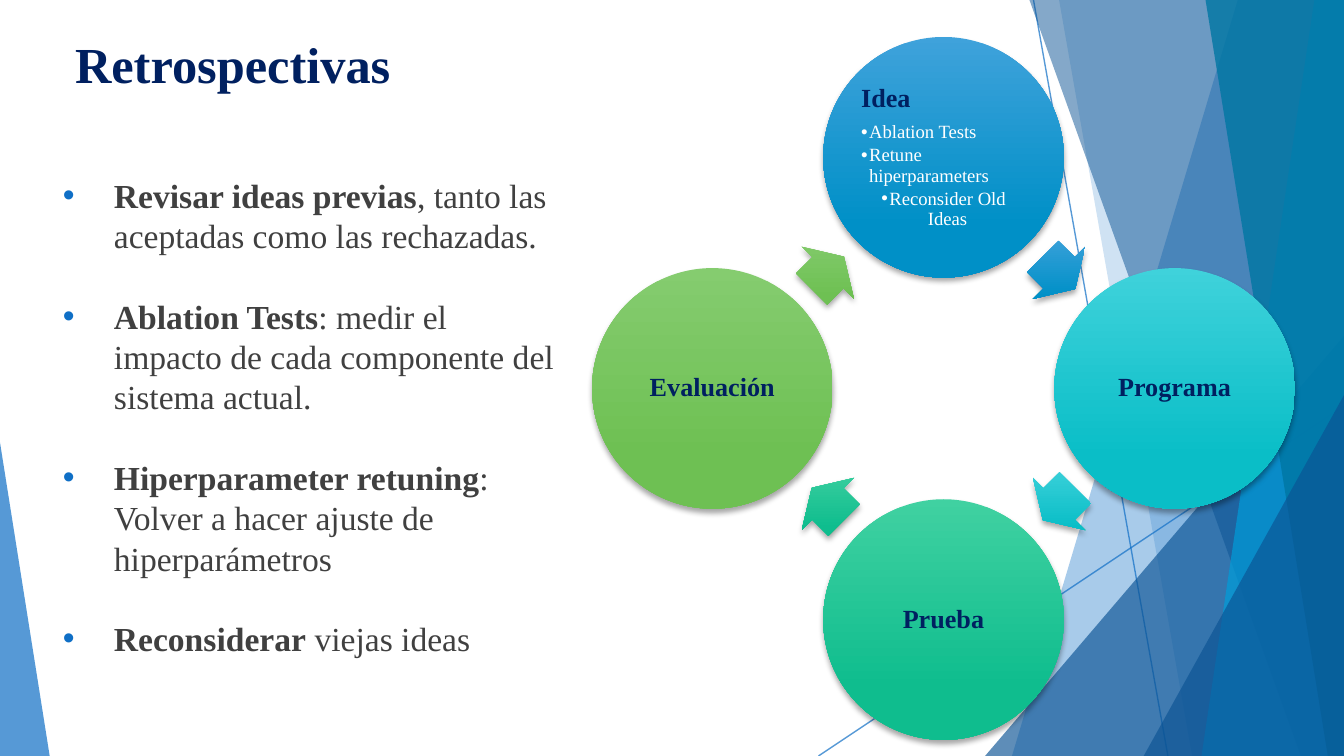
import math

from lxml import etree
from pptx import Presentation
from pptx.dml.color import RGBColor
from pptx.enum.shapes import MSO_CONNECTOR, MSO_SHAPE
from pptx.enum.text import MSO_ANCHOR, PP_ALIGN
from pptx.oxml.ns import qn
from pptx.util import Inches, Pt

LEFT, CENTER = PP_ALIGN.LEFT, PP_ALIGN.CENTER
TOP, MIDDLE, BOTTOM = MSO_ANCHOR.TOP, MSO_ANCHOR.MIDDLE, MSO_ANCHOR.BOTTOM
OVAL, ARROW, TRIANGLE = MSO_SHAPE.OVAL, MSO_SHAPE.RIGHT_ARROW, MSO_SHAPE.ISOSCELES_TRIANGLE
STRAIGHT = MSO_CONNECTOR.STRAIGHT

WIDTH = 10
HEIGHT = WIDTH * 9 / 16
FONT = "Times New Roman"
COLORS = {
    "blue": "0F6FC6", "deep": "0B5394", "sky": "009DD9", "teal": "0076A3",
    "navy": "002060", "body": "404040", "white": "FFFFFF", "black": "000000",
    "idea top": "3FA2DB", "idea": "0090C7",
    "program top": "3FD2DB", "program": "0ABEC7",
    "test top": "40D1A1", "test": "0FBD8E",
    "evaluation top": "85CC6F", "evaluation": "6EC053",
}

TITLE = "Retrospectivas"
POINTS = [
    ("Revisar ideas previas", ", tanto las aceptadas como las rechazadas."),
    ("Ablation Tests", ": medir el impacto de cada componente del sistema actual."),
    ("Hiperparameter retuning", ": Volver a hacer ajuste de hiperparámetros"),
    ("Reconsiderar", " viejas ideas"),
]
# Clockwise from the top: label, colour name, detail lines with alignment
CYCLE = [
    ("Idea", "idea", [("Ablation Tests", LEFT), ("Retune hiperparameters", LEFT),
                      ("Reconsider Old Ideas", CENTER)]),
    ("Programa", "program", []),
    ("Prueba", "test", []),
    ("Evaluación", "evaluation", []),
]
CYCLE_X, CYCLE_Y, CYCLE_RADIUS = 7.02, 2.89, 1.72
DISC = 1.79
ARROW_WIDTH, ARROW_HEIGHT = 0.34, 0.55

RAYS = [((7.69, 0), (8.69, HEIGHT)), ((WIDTH, 3.02), (6.09, HEIGHT))]
# Facets reach the right edge. Band: x at top, x at bottom. Wedge: left, top, width, apex
FACETS = [
    ("band", (9.21, 7.53), "blue", 36),
    ("band", (7.88, 8.87), "blue", 20),
    ("wedge", (7.33, 2.5, 2.67, 1), "deep", 66),
    ("band", (7.66, 9.68), "deep", 50),
    ("band", (9.78, 8.94), "sky", 70),
    ("band", (8.97, 9.88), "teal", 80),
    ("wedge", (8.51, 2.94, 1.49, 1), "deep", 66),
    ("wedge", (0, 3.29, 0.37, 0), "blue", 70),
]


def rgb(name):
    return RGBColor.from_string(COLORS[name])


def inches(*values):
    return [Inches(value) for value in values]


def set_alpha(shape, percent):
    color = next(shape.element.iter(qn("a:srgbClr")))
    etree.SubElement(color, qn("a:alpha"), val=str(percent * 1000))


def add_ray(slide, start, end):
    ray = slide.shapes.add_connector(STRAIGHT, *inches(*start, *end))
    ray.line.color.rgb = rgb("blue")
    ray.line.width = Pt(0.75)
    set_alpha(ray, 70)
    etree.SubElement(ray.element.spPr, qn("a:effectLst"))


def add_facet(slide, kind, geometry, color, alpha):
    if kind == "band":
        top_x, bottom_x = geometry
        builder = slide.shapes.build_freeform(*inches(top_x, 0))
        corners = [(WIDTH, 0), (WIDTH, HEIGHT), (bottom_x, HEIGHT)]
        builder.add_line_segments([inches(*corner) for corner in corners])
        shape = builder.convert_to_shape()
    else:
        left, top, width, apex = geometry
        shape = slide.shapes.add_shape(TRIANGLE, *inches(left, top, width, HEIGHT - top))
        shape.adjustments[0] = apex
    shape.shadow.inherit = False
    shape.fill.solid()
    shape.fill.fore_color.rgb = rgb(color)
    shape.line.fill.background()
    set_alpha(shape, alpha)


def add_glossy(slide, preset, x, y, width, height, color):
    """Add a shape centred on x, y with a vertical gradient and a soft shadow."""
    shape = slide.shapes.add_shape(
        preset, *inches(x - width / 2, y - height / 2, width, height))
    shape.line.fill.background()
    shape.fill.gradient()
    shape.fill.gradient_angle = 270
    shape.element.spPr.find(qn("a:gradFill")).set("rotWithShape", "0")
    for stop, name, position in zip(shape.fill.gradient_stops, (color + " top", color), (0, 0.78)):
        stop.color.rgb = rgb(name)
        stop.position = position
    shape.shadow.inherit = False
    effects = shape.element.spPr.find(qn("a:effectLst"))
    shadow = etree.SubElement(
        effects, qn("a:outerShdw"), blurRad=str(Pt(3)), dist=str(Pt(2)),
        dir="5400000", algn="ctr", rotWithShape="0")
    shade = etree.SubElement(shadow, qn("a:srgbClr"), val=COLORS["black"])
    etree.SubElement(shade, qn("a:alpha"), val="35000")
    return shape


def set_up_frame(shape, anchor, inset):
    frame = shape.text_frame
    frame.word_wrap = True
    frame.vertical_anchor = anchor
    frame.margin_left = frame.margin_right = Inches(inset)
    frame.margin_top = frame.margin_bottom = Inches(inset)
    return frame


def add_text_box(slide, left, top, width, height, anchor):
    box = slide.shapes.add_textbox(*inches(left, top, width, height))
    return set_up_frame(box, anchor, 0.1)


def write(frame, *runs, size, color, bold=(False,), align=LEFT, spacing=1.0, after=0,
          indent=None, bullet_color=None):
    """Write one paragraph; indent is (left, hanging) and brings a bullet."""
    paragraph = frame.paragraphs[0]
    if paragraph.runs:
        paragraph = frame.add_paragraph()
    paragraph.alignment = align
    paragraph.line_spacing = spacing
    paragraph.space_after = Pt(after)
    for text, is_bold in zip(runs, bold):
        run = paragraph.add_run()
        run.text = text
        run.font.name = FONT
        run.font.size = Pt(size)
        run.font.bold = is_bold
        run.font.color.rgb = rgb(color)
    if indent:
        properties = paragraph._p.get_or_add_pPr()
        left, hanging = indent
        properties.set("marL", str(Inches(left)))
        properties.set("indent", str(-Inches(hanging)))
        bullet = etree.SubElement(properties, qn("a:buClr"))
        etree.SubElement(bullet, qn("a:srgbClr"), val=COLORS[bullet_color or color])
        etree.SubElement(properties, qn("a:buFont"), typeface="Arial")
        etree.SubElement(properties, qn("a:buChar"), char="•")


def add_cycle(slide):
    for index, (label, color, details) in enumerate(CYCLE):
        angle = math.radians(90 * index - 90)
        disc = add_glossy(slide, OVAL, CYCLE_X + CYCLE_RADIUS * math.cos(angle),
                          CYCLE_Y + CYCLE_RADIUS * math.sin(angle), DISC, DISC, color)
        frame = set_up_frame(disc, MIDDLE, 0.02)
        write(frame, label, size=14, color="navy", bold=(True,),
              align=LEFT if details else CENTER, spacing=0.9, after=4.9 if details else 0)
        for text, align in details:
            write(frame, text, size=10, color="white", align=align, spacing=0.9,
                  after=1.5, indent=(0.06, 0.06))

        between = angle + math.pi / 4
        reach = CYCLE_RADIUS / math.sqrt(2)
        arrow = add_glossy(slide, ARROW, CYCLE_X + reach * math.cos(between),
                           CYCLE_Y + reach * math.sin(between),
                           ARROW_WIDTH, ARROW_HEIGHT, color)
        arrow.adjustments[0], arrow.adjustments[1] = 0.6, 0.5
        arrow.rotation = 45 + 90 * index


def main():
    presentation = Presentation()
    presentation.slide_width, presentation.slide_height = inches(WIDTH, HEIGHT)
    slide = presentation.slides.add_slide(presentation.slide_layouts[6])

    for start, end in RAYS:
        add_ray(slide, start, end)
    for facet in FACETS:
        add_facet(slide, *facet)

    title = add_text_box(slide, 0.46, 0.21, 7.05, 0.59, BOTTOM)
    write(title, TITLE, size=27, color="navy", bold=(True,))
    body = add_text_box(slide, 0.25, 1.2, 4.03, 3.76, TOP)
    for point in POINTS:
        write(body, *point, size=18, color="body", bold=(True, False),
              after=21.6, indent=(0.5, 0.38), bullet_color="blue")
    add_cycle(slide)

    presentation.save("out.pptx")


if __name__ == "__main__":
    main()
